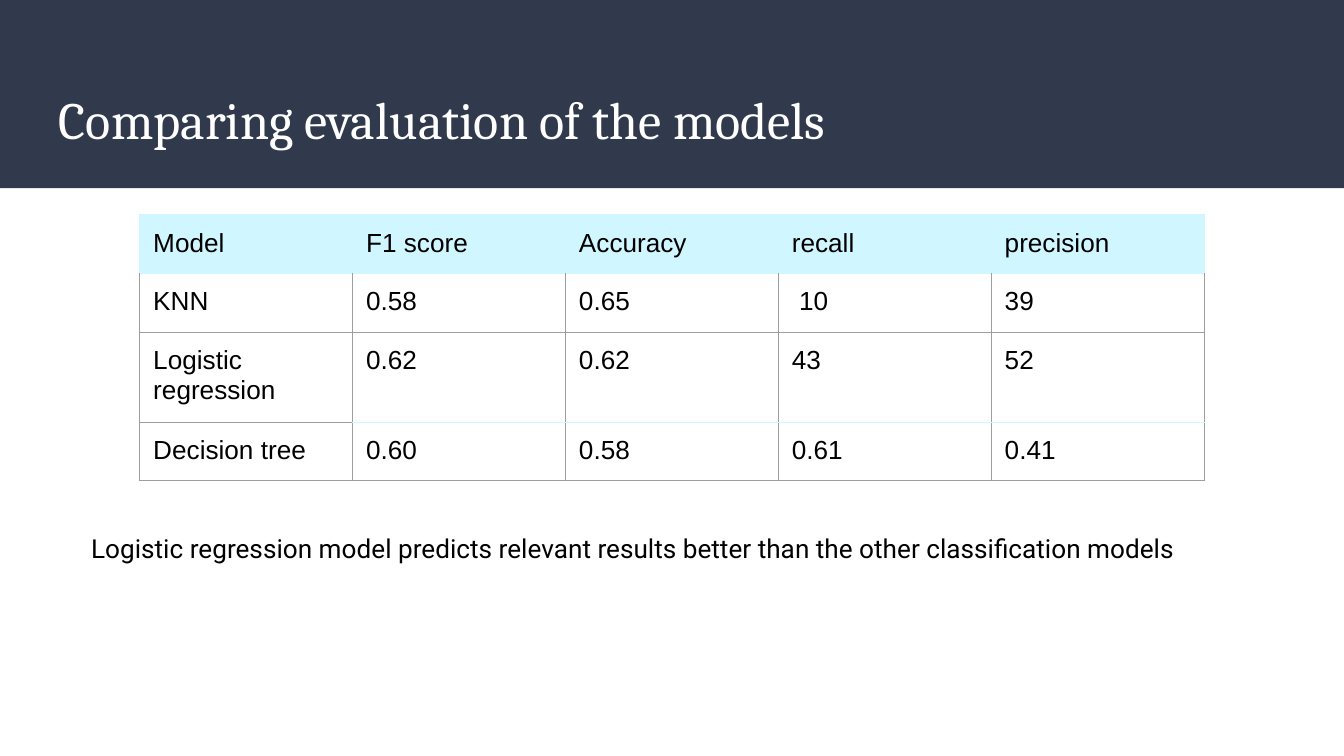
from dataclasses import dataclass

from lxml import etree
from pptx import Presentation
from pptx.dml.color import RGBColor
from pptx.enum.shapes import MSO_SHAPE
from pptx.enum.text import MSO_ANCHOR
from pptx.oxml.ns import qn
from pptx.util import Inches, Pt

RECTANGLE = MSO_SHAPE.RECTANGLE
TOP = MSO_ANCHOR.TOP


@dataclass(frozen=True)
class Theme:
    navy: str = "31394D"
    white: str = "FFFFFF"
    black: str = "000000"
    pale_cyan: str = "D0F6FF"
    grey: str = "9E9E9E"
    title_size: int = 28
    body_size: int = 14
    title_font: str = "Cambria"
    table_font: str = "Arial"
    note_font: str = "Roboto"
    border_width: float = 0.75
    inset: float = 0.1


THEME = Theme()
SCORES = [
    ["Model", "F1 score", "Accuracy", "recall", "precision"],
    ["KNN", "0.58", "0.65", " 10", "39"],
    ["Logistic regression", "0.62", "0.62", "43", "52"],
    ["Decision tree", "0.60", "0.58", "0.61", "0.41"],
]
TABLE_WIDTH = 7.92
FRAME_SIZE = 3.28
ROW_HEIGHTS = [0.42, 0.44, 0.42, 0.42]


def style_text(frame, font, size, color):
    """Format every run of a text frame."""
    for paragraph in frame.paragraphs:
        for run in paragraph.runs:
            run.font.name = font
            run.font.size = Pt(size)
            run.font.color.rgb = RGBColor.from_string(color)


def set_margins(owner):
    """Give a text frame or cell the same inset on all sides."""
    owner.margin_left = owner.margin_right = Inches(THEME.inset)
    owner.margin_top = owner.margin_bottom = Inches(THEME.inset)


def add_band(slide, left, top, width, height, color):
    """Add a plain filled rectangle."""
    band = slide.shapes.add_shape(
        RECTANGLE, Inches(left), Inches(top), Inches(width), Inches(height))
    band.shadow.inherit = False
    band.fill.solid()
    band.fill.fore_color.rgb = RGBColor.from_string(color)
    band.line.fill.background()


def add_text(slide, text, box, font, size, color):
    """Add a wrapped line of text in a box."""
    frame = slide.shapes.add_textbox(*map(Inches, box)).text_frame
    frame.word_wrap = True
    frame.vertical_anchor = TOP
    set_margins(frame)
    frame.text = text
    style_text(frame, font, size, color)


def border_colors(row, column):
    """Return the left, right, top and bottom border colours of a cell."""
    if row == 0:
        return [THEME.pale_cyan] * 4
    score = column > 0
    top_pale = row == 1 or (row == 3 and score)
    bottom_pale = row == 2 and score
    return [THEME.grey, THEME.grey,
            THEME.pale_cyan if top_pale else THEME.grey,
            THEME.pale_cyan if bottom_pale else THEME.grey]


def set_borders(cell, colors):
    """Draw the four borders of a cell ahead of its fill."""
    properties = cell._tc.get_or_add_tcPr()
    for index, (side, color) in enumerate(zip(("lnL", "lnR", "lnT", "lnB"), colors)):
        line = etree.Element(qn(f"a:{side}"), w=str(Pt(THEME.border_width)))
        fill = etree.SubElement(line, qn("a:solidFill"))
        etree.SubElement(fill, qn("a:srgbClr"), val=color)
        properties.insert(index, line)


def add_score_table(slide, left, top):
    """Add the table of model scores."""
    columns = len(SCORES[0])
    frame = slide.shapes.add_table(
        len(SCORES), columns, Inches(left), Inches(top),
        Inches(TABLE_WIDTH), Inches(sum(ROW_HEIGHTS)))
    table = frame.table
    for row, height in zip(table.rows, ROW_HEIGHTS):
        row.height = Inches(height)
    frame.width = frame.height = Inches(FRAME_SIZE)
    for row, values in enumerate(SCORES):
        for column, value in enumerate(values):
            cell = table.cell(row, column)
            cell.text = value
            set_margins(cell)
            style_text(cell.text_frame, THEME.table_font, THEME.body_size, THEME.black)
            if row == 0:
                cell.fill.solid()
                cell.fill.fore_color.rgb = RGBColor.from_string(THEME.pale_cyan)
            else:
                cell.fill.background()
            set_borders(cell, border_colors(row, column))


def main():
    """Build and save the model comparison slide."""
    deck = Presentation()
    deck.slide_width = Inches(10)
    deck.slide_height = deck.slide_width * 9 // 16
    slide = deck.slides.add_slide(deck.slide_layouts[6])
    add_band(slide, 0, 0, 10, 1.4, THEME.navy)
    add_text(slide, "Comparing evaluation of the models", (0.34, 0.55, 9.32, 0.68),
             THEME.title_font, THEME.title_size, THEME.white)
    add_score_table(slide, 1.04, 1.6)
    add_text(slide, "Logistic regression model predicts relevant results better "
             "than the other classification models", (0.58, 3.86, 8.54, 1.47),
             THEME.note_font, THEME.body_size, THEME.black)
    deck.save("out.pptx")


if __name__ == "__main__":
    main()
